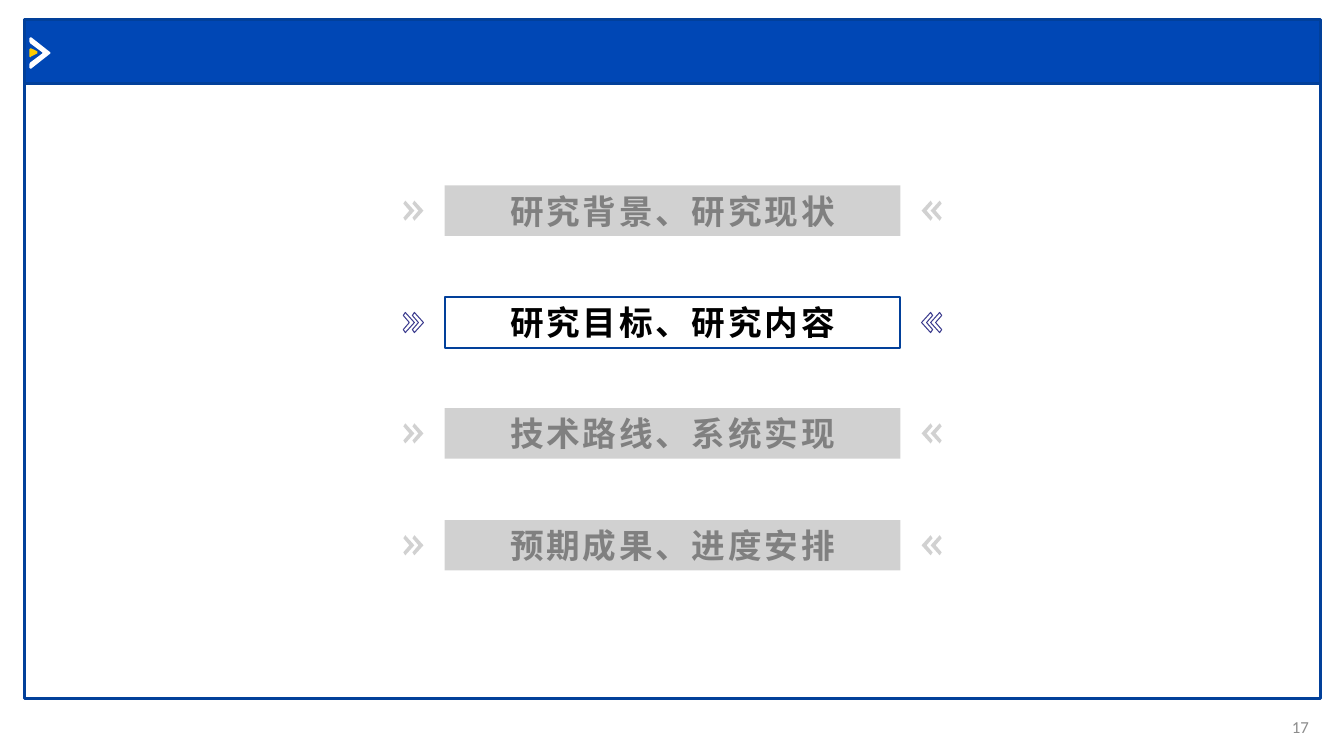
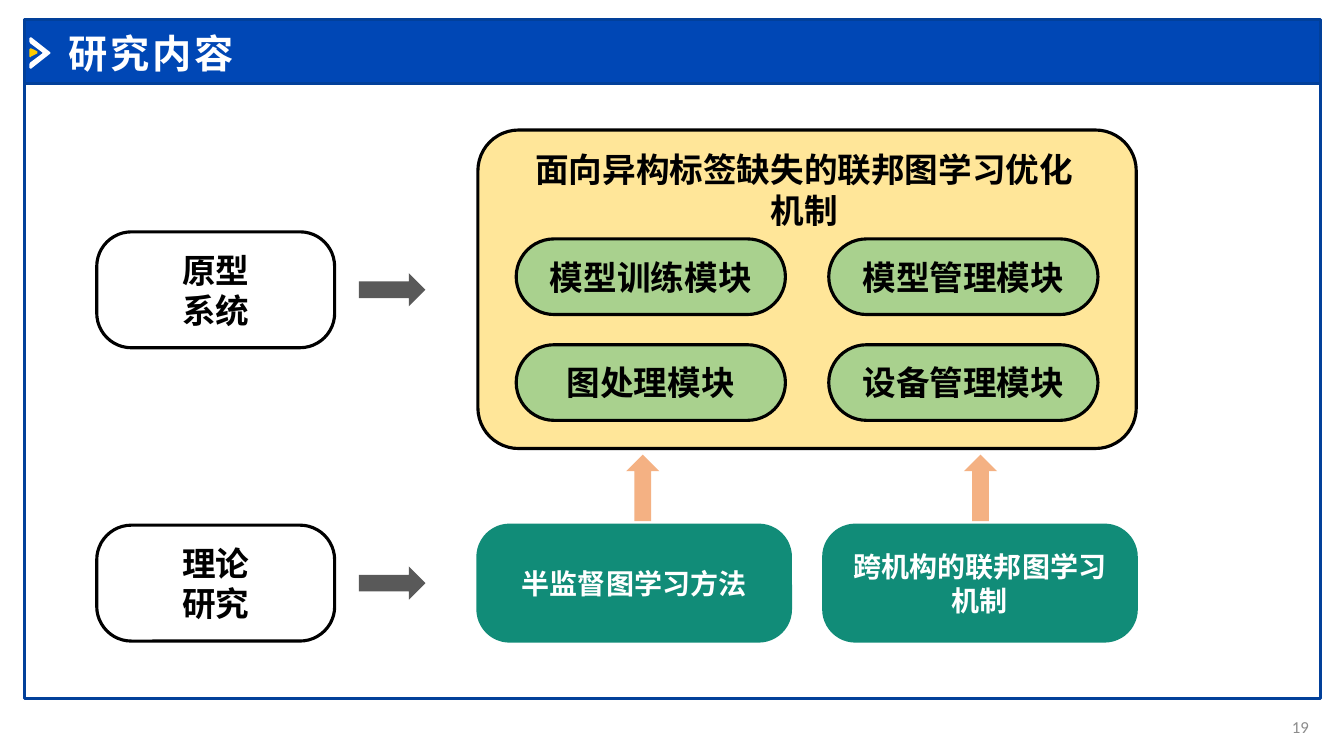
from lxml import etree
from pptx import Presentation
from pptx.dml.color import RGBColor
from pptx.enum.shapes import MSO_SHAPE
from pptx.enum.text import MSO_ANCHOR, PP_ALIGN
from pptx.oxml.ns import qn
from pptx.util import Pt

PX = 9144  # EMU in one px, 100 px to the inch
SLIDE_WIDTH, SLIDE_HEIGHT = 1333, 750

RECTANGLE = MSO_SHAPE.RECTANGLE
ROUNDED = MSO_SHAPE.ROUNDED_RECTANGLE
RIGHT_ARROW = MSO_SHAPE.RIGHT_ARROW
UP_ARROW = MSO_SHAPE.UP_ARROW
LEFT, CENTER, RIGHT = PP_ALIGN.LEFT, PP_ALIGN.CENTER, PP_ALIGN.RIGHT
MIDDLE, TOP = MSO_ANCHOR.MIDDLE, MSO_ANCHOR.TOP

WHITE = RGBColor(0xFF, 0xFF, 0xFF)
BLACK = RGBColor(0x00, 0x00, 0x00)
BAND_BLUE = RGBColor(0x00, 0x47, 0xB5)
FRAME_BLUE = RGBColor(0x02, 0x40, 0x9A)
CHEVRON_BLUE = RGBColor(0x3C, 0x3C, 0x8E)
YELLOW = RGBColor(0xFF, 0xCC, 0x00)
PALE_YELLOW = RGBColor(0xFF, 0xE6, 0x99)
TEAL = RGBColor(0x11, 0x8C, 0x78)
GREEN = RGBColor(0xA9, 0xD1, 0x8E)
ORANGE = RGBColor(0xF4, 0xB1, 0x83)
DARK_GRAY = RGBColor(0x59, 0x59, 0x59)
TEXT_GRAY = RGBColor(0x80, 0x80, 0x80)
NUMBER_GRAY = RGBColor(0x8C, 0x8C, 0x8C)
MUTED_GRAY = RGBColor(0xA5, 0xA5, 0xA5)

CJK_FONT = "Noto Sans CJK SC"
LATIN_FONT = "Calibri"

# Text formats: font values, and the letter spacing in points
AGENDA_TEXT = {"font": {"size": Pt(24), "bold": True, "name": CJK_FONT}, "spacing": 2}
LABEL_TEXT = {"font": {"size": Pt(24), "bold": True, "name": CJK_FONT}}
METHOD_TEXT = {"font": {"size": Pt(20), "bold": True, "name": CJK_FONT}}
TITLE_TEXT = {"font": {"size": Pt(28), "bold": True, "name": LATIN_FONT}, "spacing": 2}
NUMBER_TEXT = {"font": {"size": Pt(12), "name": LATIN_FONT}}

# Outlines in px
MARK_OUTER = [(30, 37), (29, 38), (29, 41), (30, 43), (42, 52), (42, 53), (30, 62),
              (29, 64), (29, 67), (30, 68), (31, 68), (50, 53), (50, 52), (31, 37)]
MARK_INNER = [(30, 48), (29, 49), (29, 56), (30, 57), (31, 56), (37, 53), (37, 51), (31, 48)]
CHEVRON = [(2, 0), (0, 3), (6, 10), (0, 17), (2, 20), (11, 10)]

AGENDA = ["研究背景、研究现状", "研究目标、研究内容", "技术路线、系统实现", "预期成果、进度安排"]
CURRENT_ITEM = 1
MODULES = [["模型训练模块", "模型管理模块"], ["图处理模块", "设备管理模块"]]
METHODS = ["半监督图学习方法", "跨机构的联邦图学习机制"]


def style_shape(shape, fill=None, line=None, line_width=0, alpha=None):
    """Set fill and line; a missing colour means none."""
    shape.shadow.inherit = False
    if fill is None:
        shape.fill.background()
    else:
        shape.fill.solid()
        shape.fill.fore_color.rgb = fill
        if alpha is not None:
            color = shape.fill._xPr.find(qn("a:solidFill"))[0]
            etree.SubElement(color, qn("a:alpha")).set("val", str(alpha * 1000))
    if line is None:
        shape.line.fill.background()
    else:
        shape.line.color.rgb = line
        shape.line.width = Pt(line_width)


def write_text(shape, text, text_format, color, alignment=CENTER, anchor=MIDDLE):
    """Write one paragraph for each line of the text."""
    frame = shape.text_frame
    frame_values = {"word_wrap": True, "vertical_anchor": anchor, "text": text}
    for name, value in frame_values.items():
        setattr(frame, name, value)
    for paragraph in frame.paragraphs:
        paragraph.alignment = alignment
        for run in paragraph.runs:
            for name, value in text_format["font"].items():
                setattr(run.font, name, value)
            run.font.color.rgb = color
            properties = run._r.get_or_add_rPr()
            properties.set("spc", str(text_format.get("spacing", 0) * 100))
            etree.SubElement(properties, qn("a:ea")).set("typeface", CJK_FONT)


def add_box(slide, kind, left, top, width, height, corner=None, **style):
    shape = slide.shapes.add_shape(kind, left * PX, top * PX, width * PX, height * PX)
    if corner is not None:
        shape.adjustments[0] = corner
    style_shape(shape, **style)
    return shape


def add_text(slide, left, top, width, height, *text_values):
    box = slide.shapes.add_textbox(left * PX, top * PX, width * PX, height * PX)
    write_text(box, *text_values)


def add_outline(slide, points, **style):
    builder = slide.shapes.build_freeform(*points[0], scale=PX)
    builder.add_line_segments(points[1:], close=True)
    style_shape(builder.convert_to_shape(), **style)


def add_base_slide(presentation, number, title=None):
    """Add a slide with the frame, title band, mark and page number."""
    slide = presentation.slides.add_slide(presentation.slide_layouts[6])
    for top, height, fill in ((83, 610, None), (19, 64, BAND_BLUE)):
        add_box(slide, RECTANGLE, 24, top, 1286, height,
                fill=fill, line=FRAME_BLUE, line_width=2)
    add_outline(slide, MARK_OUTER, fill=WHITE)
    add_outline(slide, MARK_INNER, fill=YELLOW)
    add_text(slide, 1229, 701, 79, 40, str(number), NUMBER_TEXT, NUMBER_GRAY, RIGHT)
    if title:
        add_text(slide, 58, 24, 1104, 57, title, TITLE_TEXT, WHITE, LEFT)
    return slide


def add_agenda_item(slide, top, text, current):
    """Add a bar with two chevrons pointing at it from each side."""
    muted = {"fill": MUTED_GRAY, "alpha": 50}
    bar_style = {"line": FRAME_BLUE, "line_width": 1.5} if current else muted
    chevron_style = {"line": CHEVRON_BLUE, "line_width": 0.75} if current else muted
    bar = add_box(slide, RECTANGLE, 441, top, 452, 50, **bar_style)
    write_text(bar, text, AGENDA_TEXT, BLACK if current else TEXT_GRAY)
    for left in (400, 409):
        points = [(left + x, top + 15 + y) for x, y in CHEVRON]
        mirrored = [(SLIDE_WIDTH + 1 - x, y) for x, y in points]
        add_outline(slide, points, **chevron_style)
        add_outline(slide, mirrored, **chevron_style)


def build_agenda(presentation):
    slide = add_base_slide(presentation, 17)
    for index, text in enumerate(AGENDA):
        add_agenda_item(slide, 184 + round(index * 332 / 3), text, index == CURRENT_ITEM)


def build_content(presentation):
    slide = add_base_slide(presentation, 19, "研究内容")
    black_line = {"line": BLACK, "line_width": 2.25}

    # Prototype panel with its modules
    add_box(slide, ROUNDED, 474, 129, 653, 316, 0.128, fill=PALE_YELLOW, **black_line)
    add_text(slide, 515, 143, 565, 91, "面向异构标签缺失的联邦图学习优化机制",
             LABEL_TEXT, BLACK, CENTER, TOP)
    for row, names in enumerate(MODULES):
        for column, name in enumerate(names):
            module = add_box(slide, ROUNDED, 512 + column * 310, 237 + row * 105, 267, 75,
                             0.5, fill=GREEN, **black_line)
            write_text(module, name, LABEL_TEXT, BLACK)

    # Row labels with arrows to the right
    for top, label in ((230, "原型\n系统"), (521, "理论\n研究")):
        box = add_box(slide, ROUNDED, 96, top, 236, 115, 0.299, **black_line)
        write_text(box, label, LABEL_TEXT, BLACK)
        add_box(slide, RIGHT_ARROW, 356, top + 41, 66, 33, fill=DARK_GRAY)

    # Methods with arrows up to the panel
    for index, name in enumerate(METHODS):
        method = add_box(slide, ROUNDED, 474 + index * 343, 521, 310, 115, 0.274,
                         fill=TEAL, line=TEAL, line_width=2.25)
        write_text(method, name, METHOD_TEXT, WHITE)
        add_box(slide, UP_ARROW, 621 + index * 335, 451, 33, 66, fill=ORANGE)


def main():
    presentation = Presentation()
    presentation.slide_width = SLIDE_WIDTH * PX
    presentation.slide_height = SLIDE_HEIGHT * PX
    build_agenda(presentation)
    build_content(presentation)
    presentation.save("out.pptx")


if __name__ == "__main__":
    main()
